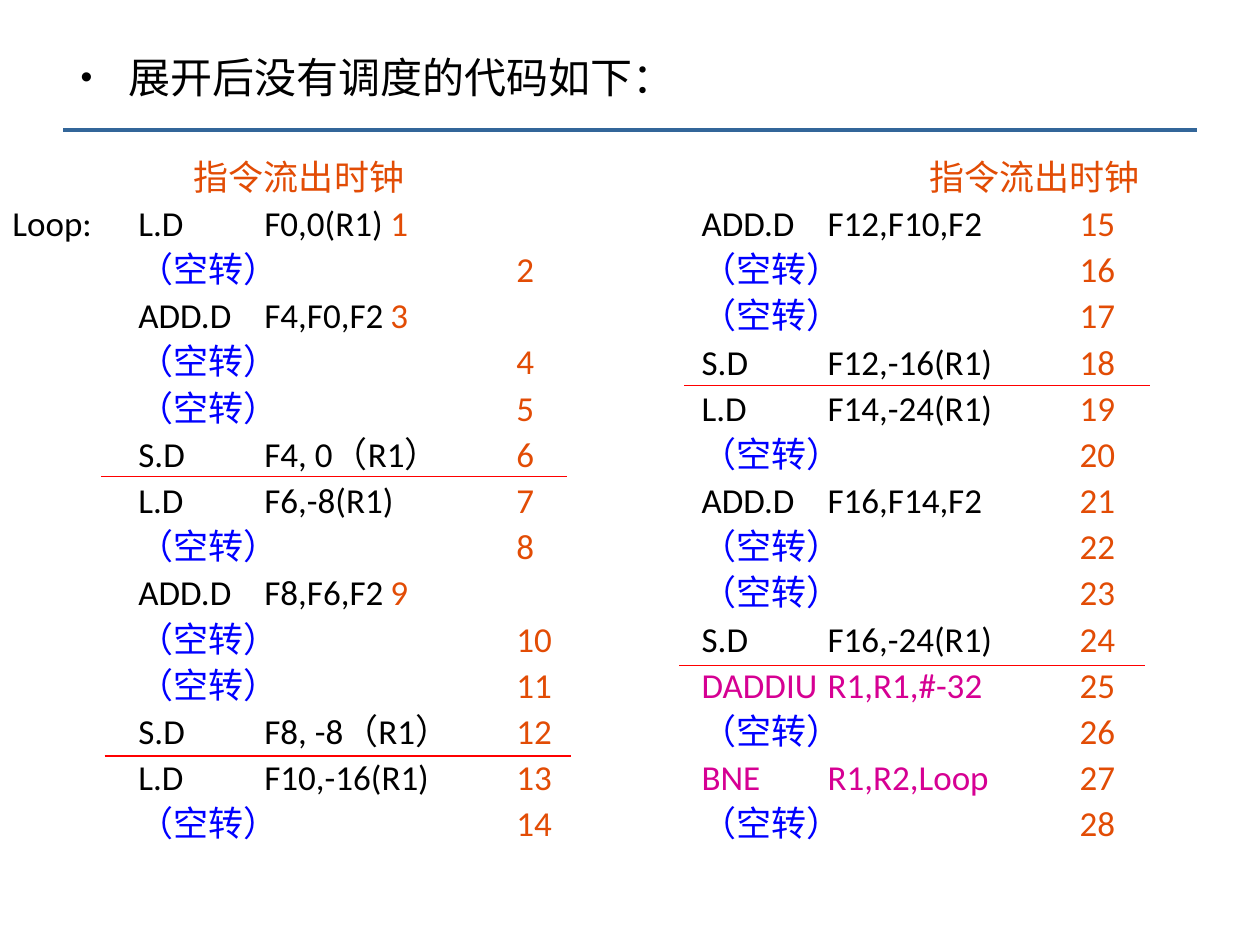
from pptx import Presentation
from pptx.dml.color import RGBColor
from pptx.enum.shapes import MSO_CONNECTOR as Connector
from pptx.enum.text import MSO_AUTO_SIZE as AutoSize
from pptx.oxml.ns import qn
from pptx.util import Inches, Pt
from lxml.etree import SubElement

BLACK = RGBColor(0x00, 0x00, 0x00)
BLUE = RGBColor(0x00, 0x00, 0xFF)
ORANGE = RGBColor(0xE2, 0x4C, 0x05)
MAGENTA = RGBColor(0xD6, 0x00, 0x93)
RED = RGBColor(0xFF, 0x00, 0x00)
STEEL = RGBColor(0x33, 0x66, 0x99)
LATIN_FONT = "Calibri"
CHINESE_FONT = "Noto Sans CJK SC"

TITLE = "展开后没有调度的代码如下："
CLOCK_HEADING = "指令流出时钟"
STALL = "（空转）\t\t"
LOOP_CONTROL = ("DADDIU", "BNE")
LEFT_CODE = [
    "L.D\tF0,0(R1)", None,
    "ADD.D\tF4,F0,F2", None, None,
    "S.D\tF4, 0（R1）",
    "L.D\tF6,-8(R1)", None,
    "ADD.D\tF8,F6,F2", None, None,
    "S.D\tF8, -8（R1）",
    "L.D\tF10,-16(R1)", None,
]
RIGHT_CODE = [
    "ADD.D\tF12,F10,F2", None, None,
    "S.D\tF12,-16(R1)",
    "L.D\tF14,-24(R1)", None,
    "ADD.D\tF16,F14,F2", None, None,
    "S.D\tF16,-24(R1)",
    "DADDIU\tR1,R1,#-32", None,
    "BNE\tR1,R2,Loop", None,
]
SEPARATORS = [(0.8, 3.78), (0.83, 6), (5.43, 3.06), (5.39, 5.28)]
SEPARATOR_LENGTH = 3.7
TAB_WIDTH = 1


def format_span(span, size, color, latin=LATIN_FONT):
    """Set the size, colour and fonts of one run."""
    span.font.size = Pt(size)
    span.font.color.rgb = color
    span.font.name = latin
    east_asian = SubElement(span.font._element, qn("a:ea"))
    east_asian.set("typeface", CHINESE_FONT)


def add_span(para, text, color):
    """Append a run of code text to a paragraph."""
    span = para.add_run()
    span.text = text
    format_span(span, 20, color)


def add_rule(page, left, top, length, color, width):
    """Draw a horizontal line without a shadow."""
    rule = page.shapes.add_connector(
        Connector.STRAIGHT, Inches(left), Inches(top), Inches(left + length), Inches(top))
    rule.line.color.rgb = color
    rule.line.width = Pt(width)
    SubElement(rule._element.spPr, qn("a:effectLst"))


def fill_title(page):
    """Write the bulleted heading in the body placeholder."""
    title = page.shapes.title
    title._element.getparent().remove(title._element)
    box = page.placeholders[1]
    box.left, box.top = Inches(0.52), Inches(0.36)
    box.width, box.height = Inches(8.19), Inches(0.61)
    box.text_frame.text = TITLE
    box.text_frame.auto_size = AutoSize.NONE
    para = box.text_frame.paragraphs[0]
    format_span(para.runs[0], 24, BLACK, CHINESE_FONT)
    properties = para._p.get_or_add_pPr()
    properties.set("marL", str(Inches(0.4)))
    properties.set("indent", str(Inches(-0.38)))
    bullet_color = SubElement(properties, qn("a:buClr"))
    SubElement(bullet_color, qn("a:srgbClr")).set("val", str(BLACK))
    SubElement(properties, qn("a:buSzPct")).set("val", "80000")
    SubElement(properties, qn("a:buChar")).set("char", "•")


def add_heading(para, indent):
    """Write the indented heading of a clock column."""
    para.text = CLOCK_HEADING
    format_span(para.runs[0], 20, ORANGE)
    para._p.get_or_add_pPr().set("marL", str(Inches(indent)))


def add_instruction(para, prefix, instruction, clock):
    """Write one instruction or stall with its issue clock."""
    if instruction is None:
        if prefix:
            add_span(para, prefix, BLACK)
        add_span(para, STALL, BLUE)
    else:
        color = MAGENTA if instruction.startswith(LOOP_CONTROL) else BLACK
        add_span(para, f"{prefix}{instruction}\t", color)
    add_span(para, str(clock), ORANGE)


def add_code(page, place, indent, code, first_clock, label=None):
    """Add a column of code, with a label column if a label is given."""
    box = page.shapes.add_textbox(*map(Inches, place))
    frame = box.text_frame
    frame.word_wrap = True
    add_heading(frame.paragraphs[0], indent)
    for row, instruction in enumerate(code):
        prefix = "" if label is None else "\t"
        if label and row == 0:
            prefix = f"{label}\t"
        add_instruction(frame.add_paragraph(), prefix, instruction, first_clock + row)
    for para in frame.paragraphs:
        para.line_spacing = 1.1
        para._p.get_or_add_pPr().set("defTabSz", str(Inches(TAB_WIDTH)))


def main():
    """Build the slide and save it."""
    deck = Presentation()
    deck.slide_width, deck.slide_height = Inches(10), Inches(7.5)
    page = deck.slides.add_slide(deck.slide_layouts[1])
    add_rule(page, 0.5, 1.03, 9, STEEL, 2)
    fill_title(page)
    add_code(page, (0, 1.15, 5.63, 5.96), 1.44, LEFT_CODE, 1, "Loop:")
    add_code(page, (5.47, 1.15, 4.73, 5.65), 1.81, RIGHT_CODE, 1 + len(LEFT_CODE))
    for left, top in SEPARATORS:
        add_rule(page, left, top, SEPARATOR_LENGTH, RED, 0.75)
    deck.save("out.pptx")


if __name__ == "__main__":
    main()
